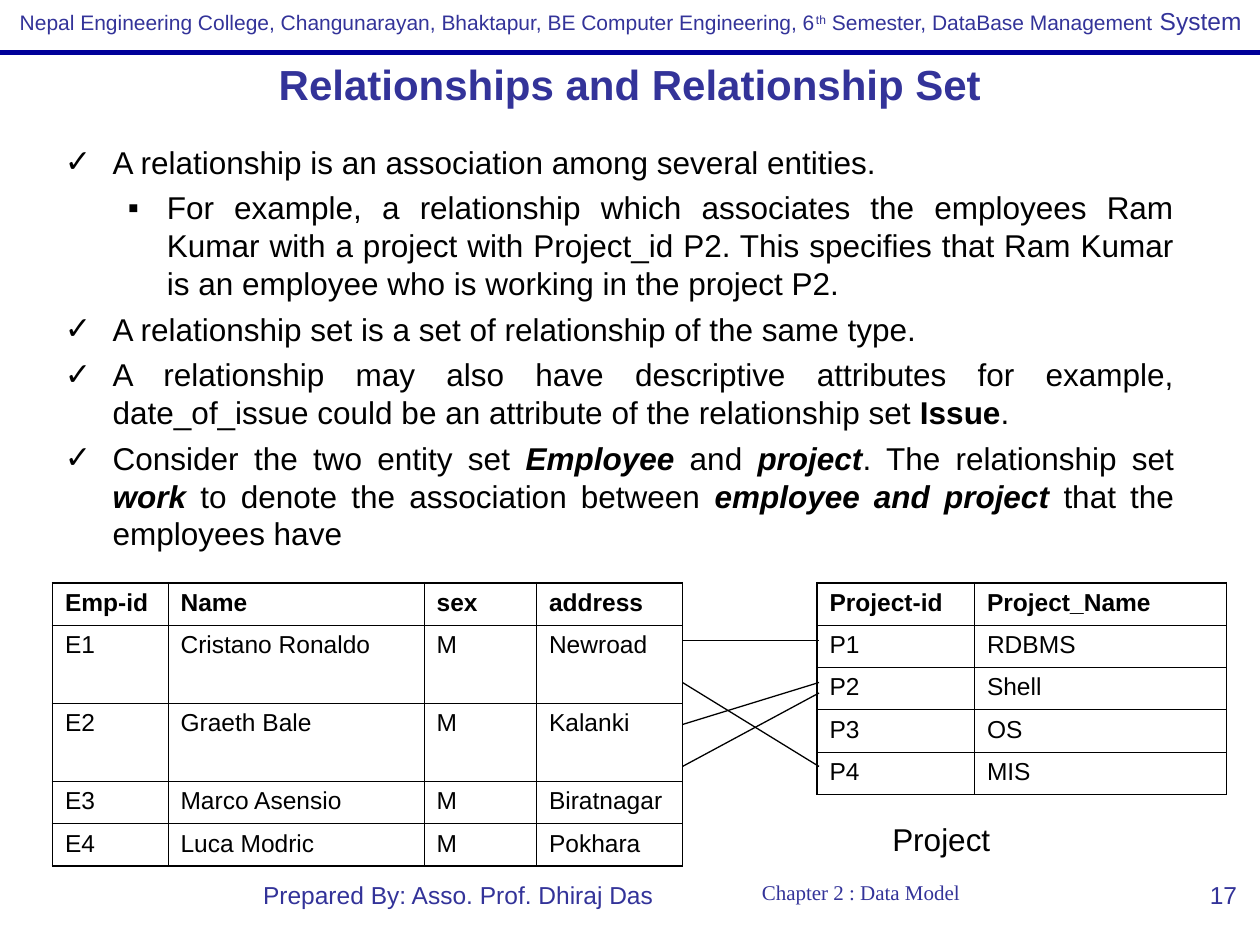
from lxml import etree
from pptx import Presentation
from pptx.dml.color import RGBColor
from pptx.enum.shapes import MSO_CONNECTOR
from pptx.enum.text import MSO_ANCHOR as Anchor, PP_ALIGN as Align
from pptx.oxml.ns import qn
from pptx.util import Inches, Pt

deck = Presentation()
deck.slide_width, deck.slide_height = Inches(10), Inches(7.5)
page = deck.slides.add_slide(deck.slide_layouts[6])
color = RGBColor.from_string
UNIT = deck.slide_width / 120
NAVY, BLACK, WHITE = "333399", "000000", "FFFFFF"


def grid(*steps):
    return [round(step * UNIT) for step in steps]


def style(font, size, tint, name="Arial", bold=False):
    font.size, font.name, font.bold = Pt(size), name, bold
    font.color.rgb = color(tint)


lines = [
    ((0, 5), (120, 5), "000099", 3),
    ((65, 61), (78, 61), BLACK, 0.75),
    ((65, 65), (78, 73), BLACK, 0.75),
    ((65, 69), (78, 65), BLACK, 0.75),
    ((65, 73), (78, 66), BLACK, 0.75),
]

labels = [
    ("Chapter 2 : Data Model", (63, 83.2, 38, 6), 12, NAVY, "Times New Roman", Align.CENTER, False),
    ("Prepared By: Asso. Prof. Dhiraj Das", (23.3, 83.2, 40.7, 6.2), 14, NAVY, "Arial", Align.CENTER, False),
    ("17", (91, 83.2, 28, 6.2), 14, NAVY, "Arial", Align.RIGHT, False),
    ("Relationships and Relationship Set", (0, 6, 120, 4), 24, NAVY, "Arial", Align.CENTER, True),
    ("Project", (83.8, 77.5, 11.8, 4.8), 18, BLACK, "Arial", Align.LEFT, False),
]
for text, place, size, tint, name, align, bold in labels:
    box = page.shapes.add_textbox(*grid(*place))
    box.text_frame.word_wrap = text != "Project"
    box.text_frame.vertical_anchor = Anchor.MIDDLE if bold else Anchor.TOP
    para = box.text_frame.paragraphs[0]
    para.text, para.alignment = text, align
    style(para.font, size, tint, name, bold)

header = page.shapes.add_textbox(*grid(0.7, 0, 118.9, 4.1))
header.text_frame.word_wrap = False
para = header.text_frame.paragraphs[0]
for text, size, raised in [
    ("Nepal Engineering College, Changunarayan, Bhaktapur, BE Computer Engineering, 6", 12, False),
    ("th", 12, True),
    (" Semester, DataBase Management", 12, False),
    (" System", 14, False),
]:
    span = para.add_run()
    span.text = text
    style(span.font, size, NAVY)
    if raised:
        span.font._element.set("baseline", "30000")

points = [
    (0, [("A relationship is an association among several entities.", False, False)]),
    (1, [("For example, a relationship which associates the employees Ram Kumar with a project "
          "with Project_id P2. This specifies that Ram Kumar is an employee who is working "
          "in the project P2.", False, False)]),
    (0, [("A relationship set is a set of relationship of the same type.", False, False)]),
    (0, [("A relationship may also have descriptive attributes for example, date_of_issue "
          "could be an attribute of the relationship set ", False, False),
         ("Issue", True, False), (".", False, False)]),
    (0, [("Consider the two entity set ", False, False), ("Employee ", True, True),
         ("and", False, False), (" project", True, True),
         (". The relationship set ", False, False), ("work", True, True),
         (" to denote the association between ", False, False),
         ("employee and project", True, True), (" that the employees have", False, False)]),
]
bullets = [("✓", 0.38, 0.38), ("▪", 0.81, 0.31)]
body = page.shapes.add_textbox(*grid(5, 13, 108, 41)).text_frame
body.word_wrap = True
for index, (level, spans) in enumerate(points):
    para = body.add_paragraph() if index else body.paragraphs[0]
    para.level, para.alignment = level, Align.JUSTIFY
    mark, margin, hang = bullets[level]
    props = para._p.get_or_add_pPr()
    props.set("marL", str(Inches(margin)))
    props.set("indent", str(-Inches(hang)))
    etree.SubElement(props, qn("a:buFont"), typeface="Arial")
    etree.SubElement(props, qn("a:buChar"), char=mark)
    para.space_before = Pt(4.5 if index else 0)
    for text, bold, italic in spans:
        span = para.add_run()
        span.text = text
        style(span.font, 18, BLACK, bold=bold)
        span.font.italic = italic

tables = [
    ((5, 55.5), (11, 24.4, 10.7, 13.9), (4.03, 7.44, 7.44, 4.03, 4.03), [
        ("Emp-id", "Name", "sex", "address"),
        ("E1", "Cristano Ronaldo", "M", "Newroad"),
        ("E2", "Graeth Bale", "M", "Kalanki"),
        ("E3", "Marco Asensio", "M", "Biratnagar"),
        ("E4", "Luca Modric", "M", "Pokhara"),
    ]),
    ((77.8, 55.5), (15, 24), (4.03,) * 5, [
        ("Project-id", "Project_Name"),
        ("P1", "RDBMS"),
        ("P2", "Shell"),
        ("P3", "OS"),
        ("P4", "MIS"),
    ]),
]
for corner, widths, heights, rows in tables:
    frame = page.shapes.add_table(len(rows), len(widths), *grid(*corner, sum(widths), sum(heights)))
    table = frame.table
    table.first_row = table.horz_banding = False
    for column, width in zip(table.columns, grid(*widths)):
        column.width = width
    for row, height in zip(table.rows, grid(*heights)):
        row.height = height
    for r, row in enumerate(rows):
        for c, text in enumerate(row):
            cell = table.cell(r, c)
            para = cell.text_frame.paragraphs[0]
            para.text = text
            style(para.font, 14, BLACK, bold=r == 0)
            outer = {"L": c == 0, "R": c == len(row) - 1, "T": r == 0, "B": r == len(rows) - 1}
            for side, edge in outer.items():
                border = etree.SubElement(cell._tc.get_or_add_tcPr(), qn(f"a:ln{side}"),
                                          w=str(Pt(1.08 if edge else 0.45)))
                fill = etree.SubElement(border, qn("a:solidFill"))
                etree.SubElement(fill, qn("a:srgbClr"), val=BLACK)
            cell.fill.solid()
            cell.fill.fore_color.rgb = color(WHITE)

for start, end, tint, width in lines:
    line = page.shapes.add_connector(MSO_CONNECTOR.STRAIGHT, *grid(*start, *end))
    line.line.color.rgb, line.line.width = color(tint), Pt(width)
    etree.SubElement(line._element.spPr, qn("a:effectLst"))

deck.save("out.pptx")
